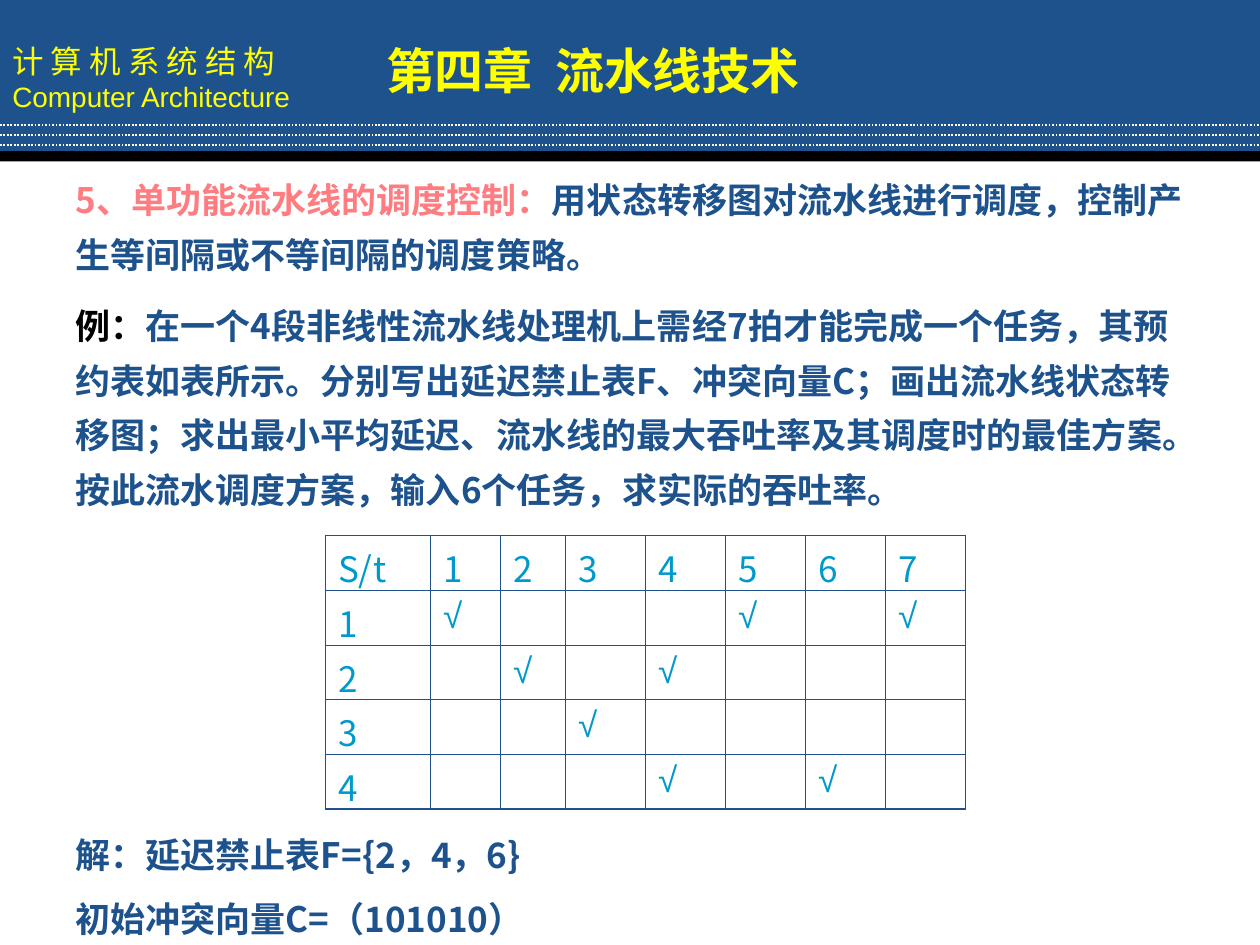
from lxml import etree
from pptx import Presentation
from pptx import util as u
from pptx.dml.color import RGBColor
from pptx.enum import dml, shapes, text
from pptx.oxml.ns import qn

Pt = u.Pt
THEME = {
    "blue": "1D528D", "yellow": "FFFF00", "black": "000000", "white": "FFFFFF",
    "pink": "FF7C80", "cyan": "0099CC",
    "cjk": "Noto Sans CJK SC", "latin": "Arial",
    "title": 28, "course": 18, "english": 16, "body": 20,
    "outer": 1.08, "inner": 0.45,
}

TITLE = "第四章  流水线技术"
COURSE = [("计 算 机 系 统 结 构", "course", "cjk"),
          ("Computer Architecture", "english", "latin")]
# each block: box, line spacing, space between, alignment, paragraphs of (text, colour)
BLOCKS = [
    ((36, 163.4, 648, 132.5), 1.3, 0, None, [[
        ("例：", "black"),
        ("在一个4段非线性流水线处理机上需经7拍才能完成一个任务，其预约表如表所示。"
         "分别写出延迟禁止表F、冲突向量C；画出流水线状态转移图；求出最小平均延迟、"
         "流水线的最大吞吐率及其调度时的最佳方案。按此流水调度方案，输入6个任务，"
         "求实际的吞吐率。", "blue")]]),
    ((36, 473, 324, 67.7), None, 12.5, text.PP_ALIGN.JUSTIFY, [
        [("解：延迟禁止表F={2，4，6}", "blue")],
        [("初始冲突向量C=（101010）", "blue")]]),
    ((36, 91.4, 648, 69.8), 1.3, 0, None, [[
        ("5、单功能流水线的调度控制：", "pink"),
        ("用状态转移图对流水线进行调度，控制产生等间隔或不等间隔的调度策略。", "blue")]]),
]
STAGES = {1: (1, 5, 7), 2: (2, 4), 3: (3,), 4: (4, 6)}
BEATS = 7
WIDTHS = [60, 40, 37.2] + [45.7] * 5
ROW = 31.3


def rgb(name):
    return RGBColor.from_string(THEME[name])


def write(para, words, color, size="body", face="cjk", bold=False):
    run = para.add_run()
    run.text = words
    form = {"name": THEME[face], "size": Pt(THEME[size]), "bold": bold}
    for key, value in form.items():
        setattr(run.font, key, value)
    run.font.color.rgb = rgb(color)
    east = etree.SubElement(run.font._element, qn("a:ea"))
    east.set("typeface", THEME[face])


def add_bar(slide, top, height, color):
    bar = slide.shapes.add_shape(shapes.MSO_SHAPE.RECTANGLE, 0, Pt(top), Pt(720), Pt(height))
    bar.shadow.inherit = False
    bar.fill.solid()
    bar.fill.fore_color.rgb = rgb(color)
    bar.line.fill.background()
    return bar


def add_head(slide):
    frame = add_bar(slide, 0, 88.6, "blue").text_frame
    frame.word_wrap = False
    for i, (words, size, face) in enumerate(COURSE):
        para = frame.add_paragraph() if i else frame.paragraphs[0]
        para.alignment = text.PP_ALIGN.LEFT
        write(para, words, "yellow", size, face)
    add_bar(slide, 86.4, 5.8, "black")
    for i in range(3):
        y = Pt(71.3 + 5.75 * i)
        rule = slide.shapes.add_connector(shapes.MSO_CONNECTOR.STRAIGHT, 0, y, Pt(720), y)
        rule.line.color.rgb = rgb("white")
        rule.line.width = Pt(1)
        rule.line.dash_style = dml.MSO_LINE.ROUND_DOT
        etree.SubElement(rule._element.spPr, qn("a:effectLst"))


def add_block(slide, box, spacing, gap, align, paras):
    frame = slide.shapes.add_textbox(*map(Pt, box)).text_frame
    frame.word_wrap = True
    frame.auto_size = text.MSO_AUTO_SIZE.SHAPE_TO_FIT_TEXT
    for i, runs in enumerate(paras):
        para = frame.add_paragraph() if i else frame.paragraphs[0]
        para.line_spacing = spacing
        para.alignment = align
        if i:
            para.space_before = Pt(gap)
        for words, color in runs:
            write(para, words, color, bold=True)


def set_edges(cell, outer):
    """Draw all four sides, heavier on those named in outer."""
    props = cell._tc.get_or_add_tcPr()
    for i, side in enumerate("LRTB"):
        width = THEME["outer" if side in outer else "inner"]
        edge = etree.Element(qn("a:ln" + side), w=str(Pt(width)))
        fill = etree.SubElement(edge, qn("a:solidFill"))
        etree.SubElement(fill, qn("a:srgbClr"), val=THEME["blue"])
        props.insert(i, edge)


def add_grid(slide):
    beats = range(1, BEATS + 1)
    rows = [["S/t"] + [str(b) for b in beats]]
    rows += [[str(s)] + ["√" if b in used else "" for b in beats]
             for s, used in STAGES.items()]
    tall, wide = len(rows), len(WIDTHS)
    grid = slide.shapes.add_table(tall, wide, Pt(186), Pt(306),
                                  Pt(sum(WIDTHS)), Pt(ROW * tall)).table
    for col, width in zip(grid.columns, WIDTHS):
        col.width = Pt(width)
    for r, row in enumerate(rows):
        grid.rows[r].height = Pt(ROW)
        for c, words in enumerate(row):
            cell = grid.cell(r, c)
            cell.fill.background()
            ends = {"L": c == 0, "R": c == wide - 1, "T": r == 0, "B": r == tall - 1}
            set_edges(cell, [side for side, end in ends.items() if end])
            if words:
                face = "latin" if words == "√" else "cjk"
                write(cell.text_frame.paragraphs[0], words, "cyan", face=face)


def set_title(slide):
    title = slide.shapes.title
    place = {"left": 203.8, "top": 19.4, "width": 270, "height": 41}
    for key, value in place.items():
        setattr(title, key, Pt(value))
    frame = title.text_frame
    frame.word_wrap = True
    frame.vertical_anchor = text.MSO_ANCHOR.TOP
    frame.auto_size = text.MSO_AUTO_SIZE.SHAPE_TO_FIT_TEXT
    para = frame.paragraphs[0]
    para.alignment = text.PP_ALIGN.CENTER
    write(para, TITLE, "yellow", "title", bold=True)
    slide.shapes._spTree.append(title._element)  # bring to front


def main():
    deck = Presentation()
    deck.slide_width, deck.slide_height = Pt(720), Pt(540)
    slide = deck.slides.add_slide(deck.slide_layouts[5])
    add_head(slide)
    add_block(slide, *BLOCKS[0])
    add_grid(slide)
    for block in BLOCKS[1:]:
        add_block(slide, *block)
    set_title(slide)
    deck.save("out.pptx")


if __name__ == "__main__":
    main()
